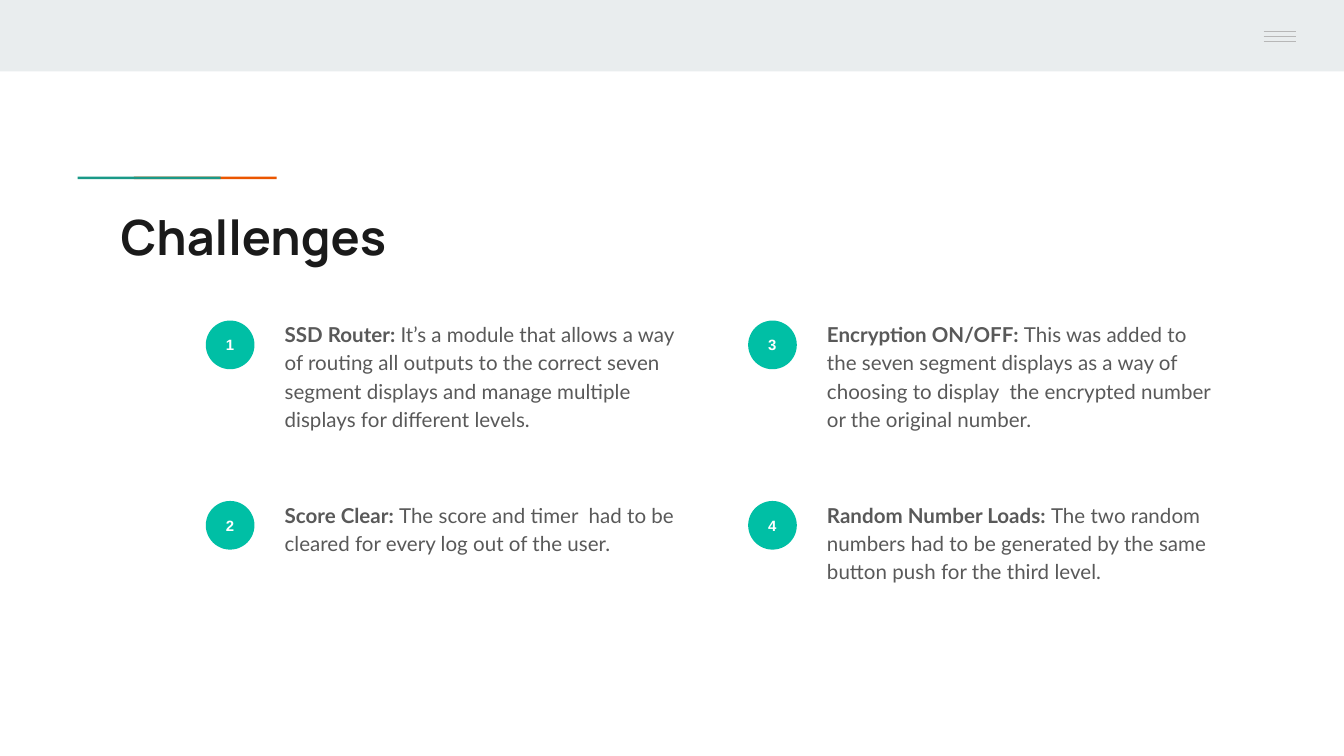
from lxml import etree
from pptx import Presentation
from pptx import util as u
from pptx.dml.color import RGBColor
from pptx.enum import shapes, text
from pptx.oxml.ns import qn

Cm, Pt = u.Cm, u.Pt
Kind = shapes.MSO_SHAPE

ITEMS = [
    ("SSD Router: ", "It’s a module that allows a way of routing all outputs to the correct "
     "seven segment displays and manage multiple displays for different levels."),
    ("Score Clear: ", "The score and timer  had to be cleared for every log out of the user."),
    ("Encryption ON/OFF: ", "This was added to the seven segment displays as a way of choosing "
     "to display  the encrypted number or the original number."),
    ("Random Number Loads: ", "The two random numbers had to be generated by the same button "
     "push for the third level."),
]


def tint(code):
    return RGBColor.from_string(code)


def block(slide, kind, x, y, w, h, fill):
    shape = slide.shapes.add_shape(kind, Cm(x), Cm(y), Cm(w), Cm(h))
    shape.shadow.inherit = False
    shape.fill.solid()
    shape.fill.fore_color.rgb = tint(fill)
    shape.line.fill.background()
    return shape


def pad(frame, wrap=True):
    frame.margin_left = frame.margin_right = Cm(0.25)
    frame.margin_top = frame.margin_bottom = Cm(0.25)
    frame.word_wrap = wrap
    return frame


def box(slide, x, y, w, h):
    return pad(slide.shapes.add_textbox(Cm(x), Cm(y), Cm(w), Cm(h)).text_frame)


def write(para, words, face, size, color, bold=True):
    run = para.add_run()
    run.text = words
    font = run.font
    font.name, font.size, font.bold = face, Pt(size), bold
    font.color.rgb = tint(color)


def header(slide, x, y, w, h):
    block(slide, Kind.RECTANGLE, x, y, w, h, "E9EDEE")
    right = x + w
    for i in range(3):
        top = Cm(y + 0.6 + i * 0.09)
        line = slide.shapes.add_connector(
            shapes.MSO_CONNECTOR.STRAIGHT, Cm(right - 1.52), top, Cm(right - 0.91), top)
        line.line.color.rgb = tint("B7B7B7")
        line.line.width = Pt(0.75)
        etree.SubElement(line._element.spPr, qn("a:effectLst"))


def title(slide, x, y, w, h):
    for shift, fill in ((1.06, "EB5600"), (0, "1A9988")):
        block(slide, Kind.RECTANGLE, x + shift, y, 2.7, 0.05, fill)
    frame = box(slide, x + 0.56, y + 0.32, w - 0.56, h - 0.32)
    write(frame.paragraphs[0], "Challenges", "Manrope", 26, "1A1A1A")


def item(slide, x, y, w, h, num, head, body):
    dot = block(slide, Kind.OVAL, x, y + 0.29, 0.92, 0.92, "00BFA5")
    frame = pad(dot.text_frame, False)
    frame.vertical_anchor = text.MSO_ANCHOR.MIDDLE
    para = frame.paragraphs[0]
    para.alignment = text.PP_ALIGN.CENTER
    write(para, str(num), "Arial", 8, "FFFFFF")

    para = box(slide, x + 1.24, y, w - 1.24, h).paragraphs[0]
    para.line_spacing = 1.15
    para.space_after = Pt(16)
    write(para, head, "Lato", 11, "595959")
    write(para, body, "Lato", 11, "595959", False)


def grid(slide, x, y, w, h):
    across, down = 10.25, 3.41
    for i, (head, body) in enumerate(ITEMS):
        col, row = divmod(i, 2)
        item(slide, x + col * across, y + row * down, w - across, h - down,
             i + 1, head, body)


def main():
    deck = Presentation()
    deck.slide_width, deck.slide_height = Cm(25.4), Cm(14.29)
    slide = deck.slides.add_slide(deck.slide_layouts[6])
    header(slide, 0, 0, 25.4, 1.35)
    title(slide, 1.47, 3.34, 21.92, 1.82)
    grid(slide, 3.89, 5.77, 19.36, 6.33)
    deck.save("out.pptx")


if __name__ == "__main__":
    main()
